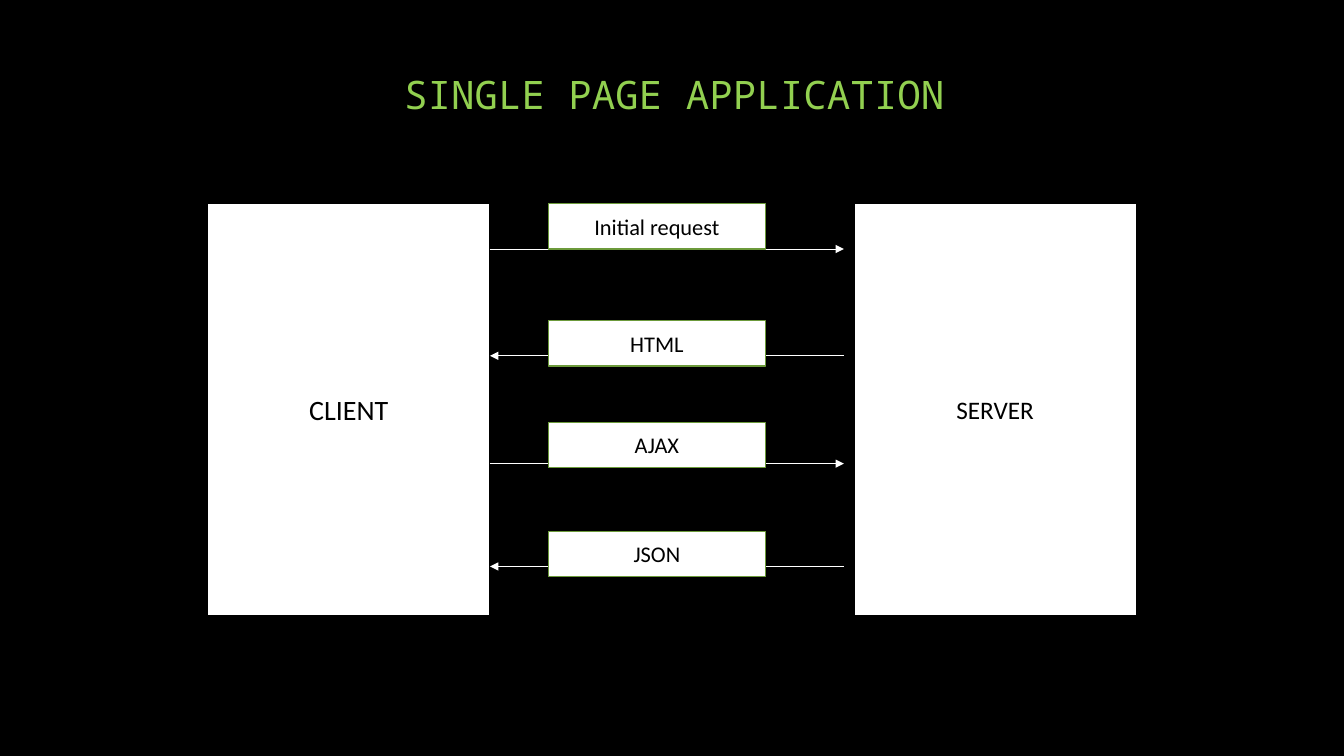
from lxml.etree import SubElement
from pptx import Presentation
from pptx.dml.color import RGBColor
from pptx.enum.shapes import MSO_CONNECTOR, MSO_SHAPE
from pptx.enum.text import MSO_ANCHOR, PP_ALIGN
from pptx.oxml.ns import qn
from pptx.util import Inches, Pt

BLACK = RGBColor(0x00, 0x00, 0x00)
WHITE = RGBColor(0xFF, 0xFF, 0xFF)
GREEN = RGBColor(0x6C, 0x9A, 0x3B)
LIME = RGBColor(0x92, 0xD0, 0x50)

CLIENT_LEFT, SERVER_LEFT = 2.06, 8.47
PANEL_TOP, PANEL_WIDTH, PANEL_HEIGHT = 2.02, 2.8, 4.09
LABEL_LEFT, LABEL_WIDTH, LABEL_HEIGHT = 5.44, 2.15, 0.45
ARROW_LEFT, ARROW_RIGHT = CLIENT_LEFT + PANEL_WIDTH, 8.37

presentation = Presentation()
presentation.slide_width = Inches(13.33)
presentation.slide_height = Inches(7.5)
slide = presentation.slides.add_slide(presentation.slide_layouts[6])
slide.background.fill.solid()
slide.background.fill.fore_color.rgb = BLACK


def write_text(shape, text, anchor, alignment, font_format):
    frame = shape.text_frame
    frame.word_wrap = True
    frame.vertical_anchor = anchor
    paragraph = frame.paragraphs[0]
    paragraph.alignment = alignment
    run = paragraph.add_run()
    run.text = text
    color = font_format["color"]
    run.font.color.rgb = color
    for name in ("name", "size"):
        setattr(run.font, name, font_format[name])
    return paragraph


def add_box(text, left, top, width, height, size, outline):
    shape = slide.shapes.add_shape(
        MSO_SHAPE.RECTANGLE, Inches(left), Inches(top), Inches(width), Inches(height)
    )
    shape.shadow.inherit = False
    shape.fill.solid()
    shape.fill.fore_color.rgb = WHITE
    shape.line.color.rgb = outline
    shape.line.width = Pt(1)
    font_format = {"name": "Calibri", "size": Pt(size), "color": BLACK}
    write_text(shape, text, MSO_ANCHOR.MIDDLE, PP_ALIGN.CENTER, font_format)


for text, left, size in (("CLIENT", CLIENT_LEFT, 20), ("SERVER", SERVER_LEFT, 18)):
    add_box(text, left, PANEL_TOP, PANEL_WIDTH, PANEL_HEIGHT, size, BLACK)

messages = [
    ("Initial request", 2.02, 2.47, True),
    ("HTML", 3.18, 3.53, False),
    ("AJAX", 4.19, 4.6, True),
    ("JSON", 5.27, 5.62, False),
]
for text, label_top, arrow_y, to_server in messages:
    start, end = (ARROW_LEFT, ARROW_RIGHT) if to_server else (ARROW_RIGHT, ARROW_LEFT)
    arrow = slide.shapes.add_connector(
        MSO_CONNECTOR.STRAIGHT, Inches(start), Inches(arrow_y), Inches(end), Inches(arrow_y)
    )
    arrow.line.color.rgb = WHITE
    arrow.line.width = Pt(0.5)
    SubElement(arrow.line._get_or_add_ln(), qn("a:tailEnd"), type="triangle")
    SubElement(arrow._element.spPr, qn("a:effectLst"))
    add_box(text, LABEL_LEFT, label_top, LABEL_WIDTH, LABEL_HEIGHT, 16, GREEN)

title = slide.shapes.add_textbox(Inches(3.91), Inches(0.77), Inches(8.07), Inches(0.4))
title.text_frame.margin_top = title.text_frame.margin_bottom = 0
title_format = {"name": "Noto Sans Mono", "size": Pt(28), "color": LIME}
title_paragraph = write_text(
    title, "SINGLE PAGE APPLICATION", MSO_ANCHOR.BOTTOM, PP_ALIGN.LEFT, title_format
)
title_paragraph.line_spacing = 0.9

presentation.save("out.pptx")
